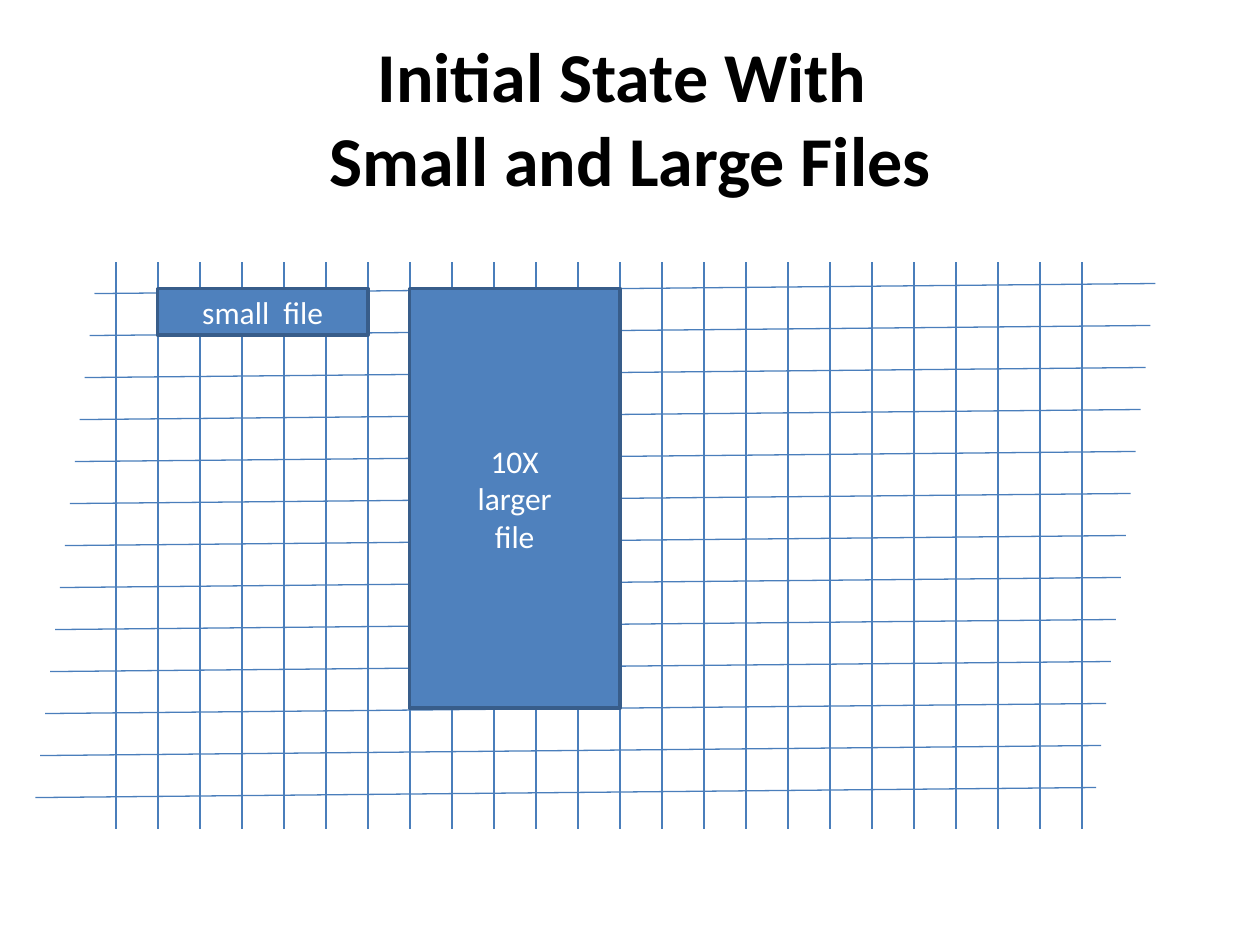
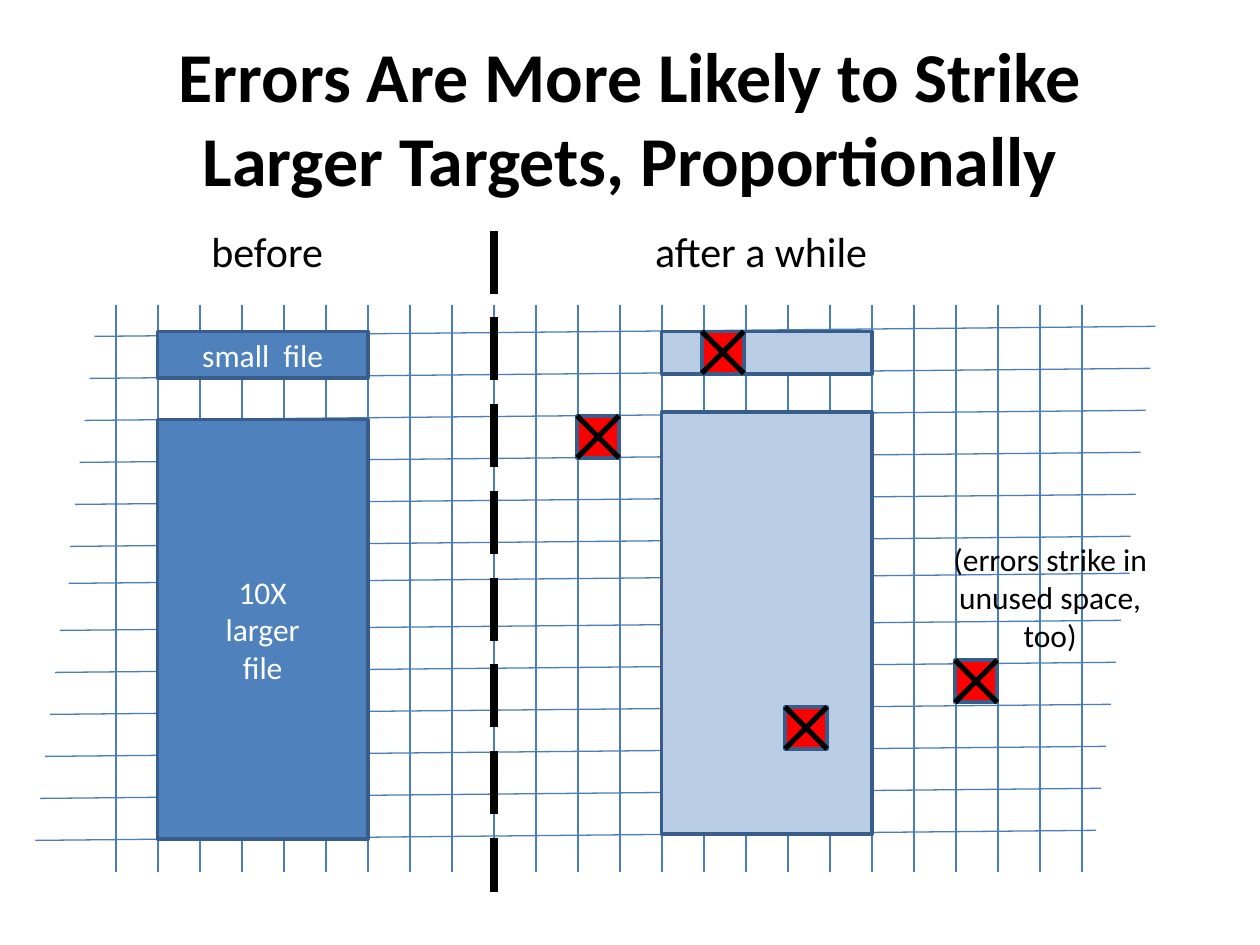
import pptx
import pptx.dml.color
import pptx.enum.dml
import pptx.enum.shapes
import pptx.enum.text
import pptx.oxml
import pptx.util

Inches = pptx.util.Inches
ALIGN = pptx.enum.text.PP_ALIGN
ANCHOR = pptx.enum.text.MSO_ANCHOR

THEME = {
    "font": "Calibri",
    "title_pt": 40, "label_pt": 24, "body_pt": 18,
    "black": "000000", "white": "FFFFFF",
    "grid": "4A7EBB", "file": "4F81BD", "border": "385D8A",
    "aged": "B9CDE5", "error": "FF0000",
    "grid_pt": 0.75, "border_pt": 2, "cross_pt": 3, "divider_pt": 4.5,
}
RGB = {name: pptx.dml.color.RGBColor.from_string(value)
       for name, value in THEME.items() if isinstance(value, str) and name != "font"}
CELL = 1 / 3   # grid pitch
FILE_W = 1.67


def add_line(slide, x1, y1, x2, y2, color="grid", width="grid_pt"):
    cx = slide.shapes.add_connector(pptx.enum.shapes.MSO_CONNECTOR.STRAIGHT,
                                    Inches(x1), Inches(y1), Inches(x2), Inches(y2))
    cx.line.color.rgb = RGB[color]
    cx.line.width = pptx.util.Pt(THEME[width])
    cx._element.spPr.append(pptx.oxml.parse_xml(
        '<a:effectLst xmlns:a="http://schemas.openxmlformats.org/drawingml/2006/main"/>'))
    return cx


def add_box(slide, x, y, w, h, text="", fill=None, size="body_pt", color="black",
            bold=False, wrap=True, align=ALIGN.CENTER, anchor=ANCHOR.MIDDLE):
    box = [Inches(v) for v in (x, y, w, h)]
    if fill:
        sp = slide.shapes.add_shape(pptx.enum.shapes.MSO_SHAPE.RECTANGLE, *box)
        sp.shadow.inherit = False
        sp.fill.solid()
        sp.fill.fore_color.rgb = RGB[fill]
        sp.line.color.rgb = RGB["border"]
        sp.line.width = pptx.util.Pt(THEME["border_pt"])
    else:
        sp = slide.shapes.add_textbox(*box)
    tf = sp.text_frame
    for name, value in {"word_wrap": wrap, "vertical_anchor": anchor}.items():
        setattr(tf, name, value)
    p = tf.paragraphs[0]
    p.text = text
    p.alignment = align
    fmt = {"name": THEME["font"], "size": pptx.util.Pt(THEME[size]), "bold": bold}
    for r in p.runs:
        for name, value in fmt.items():
            setattr(r.font, name, value)
        r.font.color.rgb = RGB[color]


prs = pptx.Presentation()
prs.slide_width, prs.slide_height = Inches(10), Inches(7.5)

# Title and storage grid on both slides: title, grid top, nudged rows
pages = [
    ("Initial State With \nSmall and Large Files", 2.08, {}),
    ("Errors Are More Likely to Strike\nLarger Targets, Proportionally", 2.42,
     {6: (0.03, -0.04)}),
]
slides = []
for title, top, nudged in pages:
    s = prs.slides.add_slide(prs.slide_layouts[6])
    slides.append(s)
    add_box(s, 0.5, 0.3, 9, 1.25, title, size="title_pt", bold=True)
    for row in range(13):
        dx, dy = nudged.get(row, (0, 0))
        x = 0.75 - row * 0.47 / 12 + dx
        y = top + 0.25 + row * CELL + dy
        add_line(s, x, y, x + 8.42, y - 0.08)
    for col in range(24):
        x = 0.92 + col * CELL
        add_line(s, x, top, x, top + 4.5)

# Files: slide, x, y, height, text, fill
initial, errors = slides
files = [
    (initial, 1.25, 2.29, 0.37, "small  file", "file"),
    (initial, 3.25, 2.29, 3.33, "10X\nlarger\nfile", "file"),
    (errors, 1.25, 2.63, 0.37, "small  file", "file"),
    (errors, 1.25, 3.33, 3.33, "10X\nlarger\nfile", "file"),
    (errors, 5.25, 2.63, 0.34, "", "aged"),
    (errors, 5.25, 3.27, 3.35, "", "aged"),
]
for s, x, y, h, text, fill in files:
    add_box(s, x, y, FILE_W, h, text, fill, color="white")

# Errors: one crossed-out cell each
for x, y in [(7.58, 5.24), (6.23, 5.61), (5.57, 2.63), (4.58, 3.3)]:
    add_box(errors, x, y, CELL, CELL, fill="error")
    add_line(errors, x + CELL, y, x, y + CELL, "black", "cross_pt")
    add_line(errors, x, y, x + CELL, y + CELL, "black", "cross_pt")

# Divider between before and after
divider = add_line(errors, 3.92, 1.83, 3.92, 7.08, "black", "divider_pt")
divider.line.dash_style = pptx.enum.dml.MSO_LINE.LONG_DASH

# Labels
labels = [
    (1.58, 1.74, 1.1, 0.5, "before", "label_pt", ALIGN.LEFT),
    (5.1, 1.74, 1.89, 0.5, "after a while", "label_pt", ALIGN.LEFT),
    (7.46, 4.24, 1.75, 1, "(errors strike in\nunused space,\ntoo)", "body_pt", ALIGN.CENTER),
]
for x, y, w, h, text, size, align in labels:
    add_box(errors, x, y, w, h, text, size=size, wrap=False, align=align, anchor=ANCHOR.TOP)

prs.save("out.pptx")
